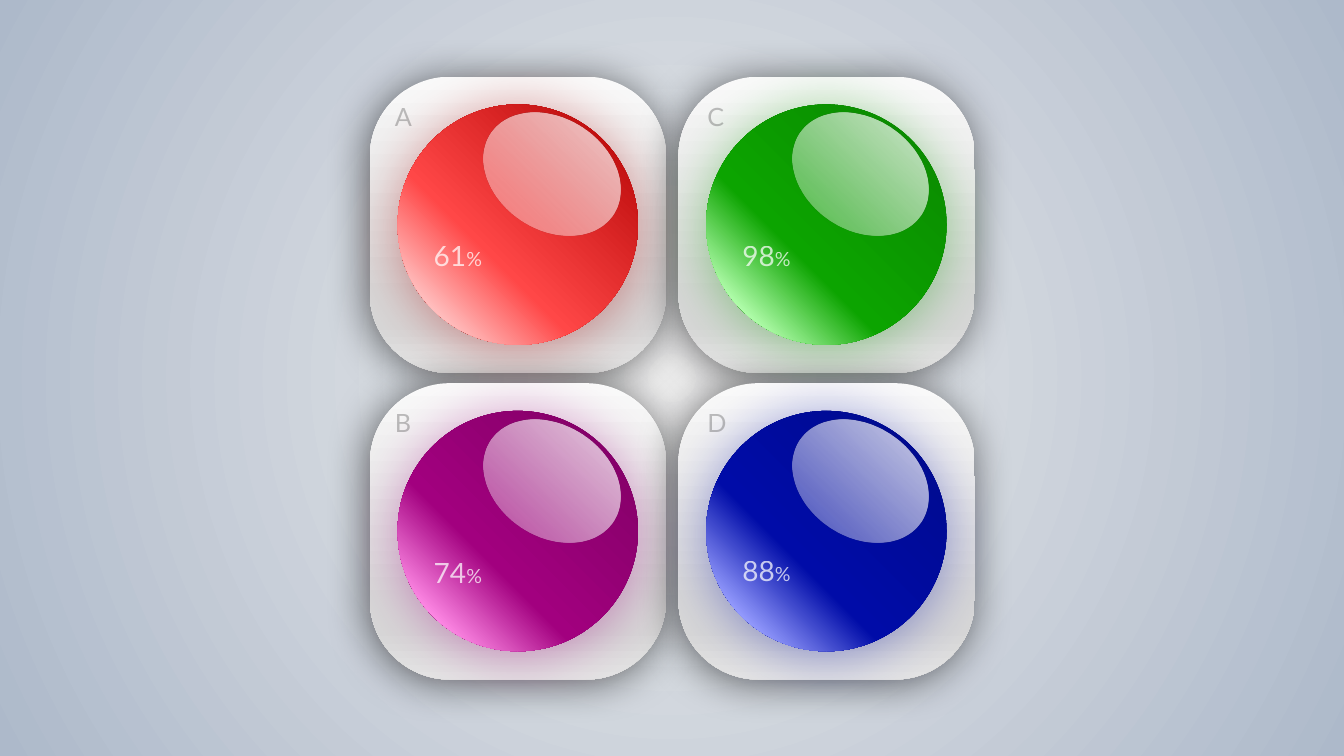
from dataclasses import dataclass

from lxml import etree
from pptx import Presentation
from pptx import util as u
from pptx.dml import color
from pptx.enum import shapes, text
from pptx.oxml import ns

Pt = u.Pt


@dataclass(frozen=True)
class Theme:
    font: str = "Lato"
    big: int = 20
    small: int = 14
    mark: int = 18
    white: str = "FFFFFF"
    black: str = "000000"
    back: tuple = ((0, "EDEDED"), (100, "ADB9CA"))
    card: tuple = ((0, "FAFAFA"), (74, "D7D7D7"), (83, "D7D7D7"), (100, "E4E4E4"))
    gloss: tuple = ((9, "FFFFFF", 84), (100, "FFFFFF", 17))
    red: tuple = ("B00000", "FF4747", "FFC1C1", "AA0000")
    green: tuple = ("0A8600", "0CA400", "B5FFAF", "0B9700")
    plum: tuple = ("7E0063", "A2007F", "FF8BE6", "A0007E")
    blue: tuple = ("000A8A", "000CA8", "979EFF", "000CA6")


T = Theme()
CARD, LEFT, TOP = 211.7, 264.2, 54.8
STEP_X, STEP_Y = 220.4, 218.9

# letter, column, row, value, tints, top of the value within its card
TILES = [
    ("A", 0, 0, "61", T.red, 112.2),
    ("C", 1, 0, "98", T.green, 112.2),
    ("B", 0, 1, "74", T.plum, 119.5),
    ("D", 1, 1, "88", T.blue, 118.1),
]


def add_xml(parent, tag, **attrs):
    node = etree.SubElement(parent, ns.qn(tag))
    for key, val in attrs.items():
        node.set(key, str(val))
    return node


def add_tint(parent, rgb, alpha=100):
    """Add a colour whose alpha is its opacity in percent."""
    node = add_xml(parent, "a:srgbClr", val=rgb)
    if alpha < 100:
        add_xml(node, "a:alpha", val=alpha * 1000)


def add_grad(parent, stops, angle=None):
    """Add a gradient: linear at an angle, or round from the centre without one."""
    grad = add_xml(parent, "a:gradFill", rotWithShape=1)
    stop_list = add_xml(grad, "a:gsLst")
    for pos, *tint in stops:
        add_tint(add_xml(stop_list, "a:gs", pos=pos * 1000), *tint)
    if angle is None:
        half = dict.fromkeys("ltrb", 50000)
        add_xml(add_xml(grad, "a:path", path="circle"), "a:fillToRect", **half)
    else:
        add_xml(grad, "a:lin", ang=angle * 60000, scaled=0)


def add_form(group, kind, box, stops, angle, shade=None):
    """Add a borderless shape; shade is colour, opacity, blur, distance, angle."""
    form = group.shapes.add_shape(kind, *map(Pt, box))
    props = form._element.spPr
    add_grad(props, stops, angle)
    form.line.fill.background()
    effect = add_xml(props, "a:effectLst")
    if shade:
        rgb, alpha, blur, dist, turn = shade
        node = add_xml(effect, "a:outerShdw", blurRad=Pt(blur), dist=Pt(dist),
                       dir=turn * 60000, algn="ctr", rotWithShape=0)
        add_tint(node, rgb, alpha)
    return form


def add_text(slide, box, runs, rgb, alpha):
    """Add one line made of (words, size) runs."""
    frame = slide.shapes.add_textbox(*map(Pt, box)).text_frame
    frame.word_wrap = True
    frame.auto_size = text.MSO_AUTO_SIZE.SHAPE_TO_FIT_TEXT
    for words, size in runs:
        run = frame.paragraphs[0].add_run()
        run.text = words
        run.font.size = Pt(size)
        run.font.name = T.font
        run.font.color.rgb = color.RGBColor.from_string(rgb)
        tint = run.font._element.find(".//" + ns.qn("a:srgbClr"))
        add_xml(tint, "a:alpha", val=alpha * 1000)


def paint_back(slide):
    back = slide.background
    back.fill.solid()
    props = slide._element.cSld.find(".//" + ns.qn("p:bgPr"))
    for node in list(props):
        props.remove(node)
    add_grad(props, T.back)
    add_xml(props, "a:effectLst")


def draw_orb(slide, x, y, tints):
    """Draw a card with its ball and gloss, from the card's top left corner."""
    group = slide.shapes.add_group_shape()
    kinds = shapes.MSO_SHAPE
    card = add_form(group, kinds.ROUNDED_RECTANGLE, (x, y, CARD, CARD),
                    T.card, 90, (T.black, 54, 30, 3, 135))
    card.adjustments[0] = 0.27
    dark, main, light, glow = tints
    add_form(group, kinds.OVAL, (x + 19.8, y + 19.8, 171.7, 171.7),
             ((0, dark), (62, main), (86, light)), 135, (glow, 40, 41, 3, 90))
    gloss = add_form(group, kinds.OVAL, (x + 78, y + 30.2, 104.4, 79.2),
                     T.gloss, 100)
    gloss.rotation = 33.6


def label_orb(slide, x, y, letter, value, drop, inset):
    add_text(slide, (x + 38.5, y + drop, 108.7, 31.5),
             [(value, T.big), ("%", T.small)], T.white, 72)
    add_text(slide, (x + inset, y + 13.7, 28.1, 29.1),
             [(letter, T.mark)], T.black, 24)


def main():
    deck = Presentation()
    deck.slide_width, deck.slide_height = Pt(960), Pt(540)
    slide = deck.slides.add_slide(deck.slide_layouts[6])
    paint_back(slide)
    spots = [(LEFT + col * STEP_X, TOP + row * STEP_Y)
             for _, col, row, *_ in TILES]
    for (x, y), tile in zip(spots, TILES):
        draw_orb(slide, x, y, tile[4])
    for (x, y), (letter, col, _, value, _, drop) in zip(spots, TILES):
        label_orb(slide, x, y, letter, value, drop, 10.8 + 2.8 * col)
    deck.save("out.pptx")


if __name__ == "__main__":
    main()
